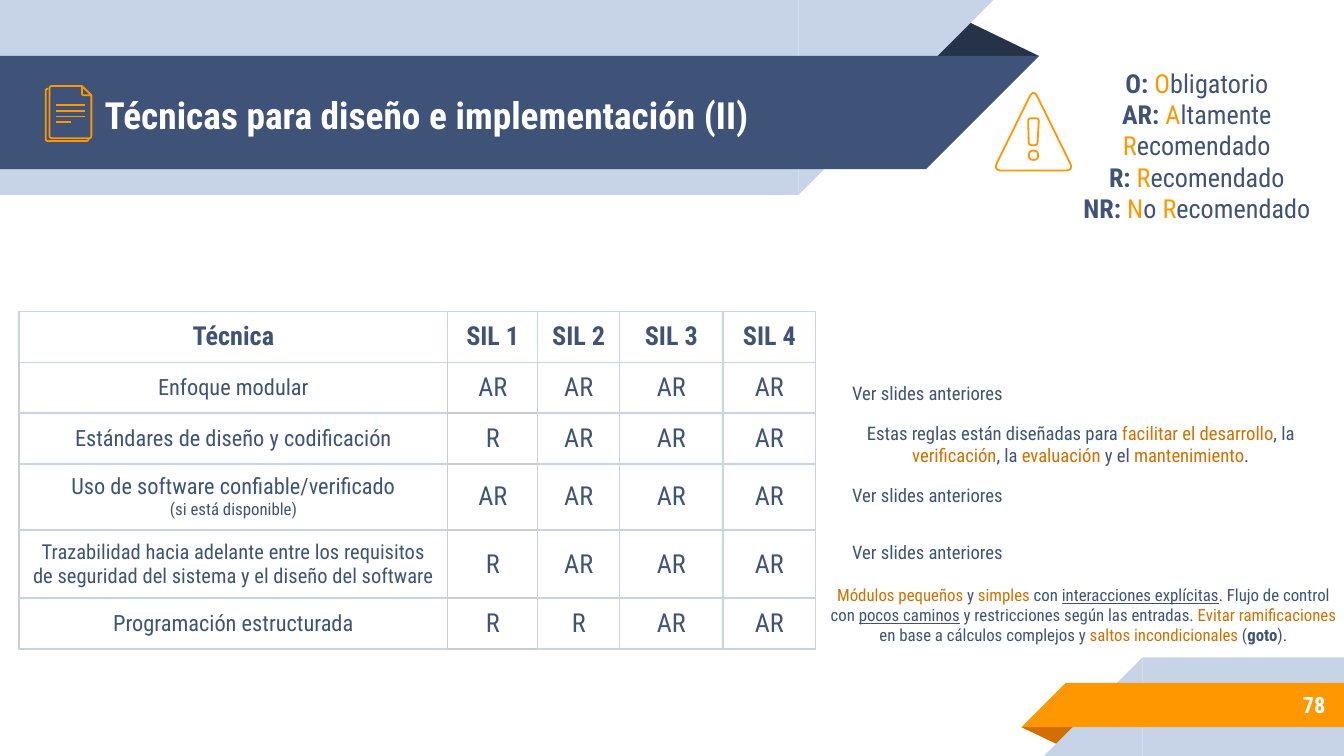
from dataclasses import dataclass

from lxml import etree
from pptx import Presentation
from pptx.dml.color import RGBColor
from pptx.enum.shapes import MSO_CONNECTOR, MSO_SHAPE
from pptx.enum.text import MSO_ANCHOR, PP_ALIGN
from pptx.oxml.ns import qn
from pptx.util import Pt

RECTANGLE = MSO_SHAPE.RECTANGLE
RIGHT_TRIANGLE = MSO_SHAPE.RIGHT_TRIANGLE
TRIANGLE = MSO_SHAPE.ISOSCELES_TRIANGLE
STRAIGHT = MSO_CONNECTOR.STRAIGHT
MIDDLE = MSO_ANCHOR.MIDDLE
LEFT, CENTER, RIGHT = PP_ALIGN.LEFT, PP_ALIGN.CENTER, PP_ALIGN.RIGHT


@dataclass(frozen=True)
class Theme:
    font: str = "Roboto Condensed"
    navy: str = "3F5378"
    dark: str = "263248"
    pale: str = "C7D3E6"
    orange: str = "FF9800"
    rust: str = "D26F00"
    grey: str = "CCCCCC"
    white: str = "FFFFFF"
    title: float = 20
    large: float = 14
    body: float = 12
    compact: float = 11
    note: float = 10
    small: float = 9
    icon_line: float = 0.96
    border: float = 0.75


THEME = Theme()
ORANGE = {"color": THEME.orange}
RUST = {"color": THEME.rust}
BOLD = {"bold": True}
UNDERLINE = {"underline": True}

SEE_PREVIOUS = [["Ver slides anteriores"]]
CODING_RULES = [["Estas reglas están diseñadas para ", ("facilitar el desarrollo", RUST), ", la ",
                 ("verificación", RUST), ", la ", ("evaluación", RUST), " y el ",
                 ("mantenimiento", RUST), "."]]
STRUCTURED = [[("Módulos pequeños", RUST), " y ", ("simples", RUST), " con ",
               ("interacciones explícitas", UNDERLINE), ". Flujo de control con ",
               ("pocos caminos", UNDERLINE), " y restricciones según las entradas. ",
               ("Evitar ramificaciones", RUST), " en base a cálculos complejos y ",
               ("saltos incondicionales", RUST), " (", ("goto", BOLD), ")."]]
LEGEND = [[("O: ", BOLD), ("O", ORANGE), "bligatorio"],
          [("AR: ", BOLD), ("A", ORANGE), "ltamente ", ("R", ORANGE), "ecomendado"],
          [("R: ", BOLD), ("R", ORANGE), "ecomendado"],
          [("NR: ", BOLD), ("N", ORANGE), "o ", ("R", ORANGE), "ecomendado"]]

HEADER = ["Técnica", "SIL 1", "SIL 2", "SIL 3", "SIL 4"]
# Technique paragraphs, type size, row height, levels for SIL 1 to 4
TECHNIQUES = [
    ([["Enfoque modular"]], THEME.body, 27.3, "AR AR AR AR"),
    ([["Estándares de diseño y codificación"]], THEME.body, 27.3, "R AR AR AR"),
    ([["Uso de software confiable/verificado"],
      [("(si está disponible)", {"size": THEME.small})]], THEME.body, 35.4, "AR AR AR AR"),
    ([["Trazabilidad hacia adelante entre los requisitos de seguridad del sistema "
       "y el diseño del software"]], THEME.compact, 36.4, "R AR AR AR"),
    ([["Programación estructurada"]], THEME.body, 27.3, "R R AR AR"),
]
HEADER_HEIGHT = 27.3
COLUMN_WIDTHS = [229.7, 48.2, 43.9, 55.4, 49.7]


def rgb(color):
    return RGBColor.from_string(color)


def write_text(frame, paragraphs, size, color=THEME.navy, bold=False, align=CENTER):
    """Each paragraph lists its runs: plain text, or text with format overrides."""
    for index, runs in enumerate(paragraphs):
        paragraph = frame.paragraphs[0] if index == 0 else frame.add_paragraph()
        paragraph.alignment = align
        for item in runs:
            words, changes = (item, {}) if isinstance(item, str) else item
            run = paragraph.add_run()
            run.text = words
            run.font.name = THEME.font
            run.font.size = Pt(changes.get("size", size))
            run.font.bold = changes.get("bold", bold)
            run.font.underline = changes.get("underline", False)
            run.font.color.rgb = rgb(changes.get("color", color))


def add_text(slide, box, paragraphs, size, **text_format):
    frame = slide.shapes.add_textbox(*map(Pt, box)).text_frame
    frame.word_wrap = True
    frame.vertical_anchor = MIDDLE
    frame.margin_left = frame.margin_right = frame.margin_top = frame.margin_bottom = Pt(7.2)
    write_text(frame, paragraphs, size, **text_format)


def add_block(slide, preset, box, color, rotation=0, flip=False):
    block = slide.shapes.add_shape(preset, *map(Pt, box))
    block.shadow.inherit = False
    block.fill.solid()
    block.fill.fore_color.rgb = rgb(color)
    block.line.fill.background()
    block.rotation = rotation
    if flip:
        block.element.spPr.find(qn("a:xfrm")).set("flipH", "1")
    return block


def add_fold(slide, box, color, rotation=0):
    add_block(slide, TRIANGLE, box, color, rotation).adjustments[0] = 0.324


def add_left_band(slide, top, width, height, color):
    """Band from the left edge whose slanted end recedes downwards."""
    add_block(slide, RECTANGLE, (0, top, width, height), color)
    add_block(slide, RIGHT_TRIANGLE, (width, top, height, height), color, 180, True)


def add_right_band(slide, left, top, height, color):
    """Band to the right edge whose slanted end starts at left."""
    add_block(slide, RECTANGLE, (left, top, 720 - left, height), color)
    add_block(slide, RIGHT_TRIANGLE, (left - height, top, height, height), color, flip=True)


def round_corners(corners, cut, sharp_ends=False):
    """Replace each corner by a quadratic curve that begins cut points before it."""
    outline = []
    for index, (x, y) in enumerate(corners):
        if sharp_ends and index in (0, len(corners) - 1):
            outline.append((x, y))
            continue
        tangents = []
        for nx, ny in (corners[index - 1], corners[(index + 1) % len(corners)]):
            share = cut / ((nx - x) ** 2 + (ny - y) ** 2) ** 0.5
            tangents.append((x + (nx - x) * share, y + (ny - y) * share))
        (ax, ay), (bx, by) = tangents
        for t in (0, 0.2, 0.4, 0.6, 0.8, 1):
            a, c, b = (1 - t) ** 2, 2 * t * (1 - t), t ** 2
            outline.append((a * ax + c * x + b * bx, a * ay + c * y + b * by))
    return outline


def add_outline(slide, contours, close=True):
    points = [[(Pt(x), Pt(y)) for x, y in contour] for contour in contours]
    builder = slide.shapes.build_freeform(*points[0][0])
    for index, contour in enumerate(points):
        if index:
            builder.move_to(*contour[0])
        builder.add_line_segments(contour[1:], close=close)
    drawing = builder.convert_to_shape()
    drawing.shadow.inherit = False
    drawing.fill.background()
    drawing.line.color.rgb = rgb(THEME.orange)
    drawing.line.width = Pt(THEME.icon_line)


def add_document_icon(slide):
    back = [(47.5, 74.1), (47.5, 75.6), (24.5, 75.6), (24.5, 47.5), (26, 47.5)]
    front = [(49, 51.1), (49, 74.1), (26.6, 74.1), (26.6, 46.1), (43.9, 46.1)]
    corner = [(49, 51.1), (43.9, 51.1), (43.9, 46.1)]
    for sheet, close in ((back, False), (front, False), (corner, True)):
        add_outline(slide, [round_corners(sheet, 1.4, sharp_ends=True)], close)
    for index, right in enumerate((45.4, 45.4, 45.4, 38.2)):
        y = 56.2 + 3.1 * index
        rule = slide.shapes.add_connector(STRAIGHT, Pt(30.2), Pt(y), Pt(right), Pt(y))
        rule.line.color.rgb = rgb(THEME.orange)
        rule.line.width = Pt(THEME.icon_line)
        etree.SubElement(rule.element.spPr, qn("a:effectLst"))


def add_warning_icon(slide):
    sign = [(553.7, 47.6), (575.3, 91.4), (532.1, 91.4)]
    stroke = [(550.8, 63.4), (556.6, 63.4), (555.8, 77.8), (551.2, 77.8)]
    dot = [(551.2, 80.7), (556.2, 80.7), (556.2, 85.7), (551.2, 85.7)]
    add_outline(slide, [round_corners(sign, 4.7), round_corners(stroke, 1.6),
                        round_corners(dot, 2.5)])


def grey_sides(row, column):
    if row == 0:
        return ""
    return ("LR", "LRB" if row == 1 else "LRTB", "L", "", "")[column]


def set_borders(cell, grey):
    properties = cell._tc.get_or_add_tcPr()
    for index, side in enumerate("LRTB"):
        line = etree.Element(qn(f"a:ln{side}"), w=str(Pt(THEME.border)))
        fill = etree.SubElement(line, qn("a:solidFill"))
        etree.SubElement(fill, qn("a:srgbClr"), val=THEME.grey if side in grey else THEME.pale)
        properties.insert(index, line)


def add_techniques_table(slide):
    heights = [HEADER_HEIGHT] + [height for _, _, height, _ in TECHNIQUES]
    table = slide.shapes.add_table(len(heights), len(HEADER), Pt(10.2), Pt(166.7),
                                   Pt(sum(COLUMN_WIDTHS)), Pt(sum(heights))).table
    table.first_row = table.horz_banding = False
    for column, width in zip(table.columns, COLUMN_WIDTHS):
        column.width = Pt(width)
    rows = [[([[label]], THEME.large) for label in HEADER]]
    for technique, size, _, levels in TECHNIQUES:
        rows.append([(technique, size)] + [([[level]], THEME.large) for level in levels.split()])
    for r, row in enumerate(rows):
        table.rows[r].height = Pt(heights[r])
        for c, (paragraphs, size) in enumerate(row):
            cell = table.cell(r, c)
            cell.vertical_anchor = MIDDLE
            cell.margin_left = cell.margin_right = Pt(7.2)
            cell.margin_top = cell.margin_bottom = Pt(5)
            if r and c:
                cell.fill.solid()
                cell.fill.fore_color.rgb = rgb(THEME.white)
            else:
                cell.fill.background()
            set_borders(cell, grey_sides(r, c))
            write_text(cell.text_frame, paragraphs, size, bold=r == 0)


def main():
    deck = Presentation()
    deck.slide_width, deck.slide_height = Pt(720), Pt(405)
    slide = deck.slides.add_slide(deck.slide_layouts[6])

    add_fold(slide, (495.4, 10, 61.2, 20), THEME.dark)
    add_left_band(slide, 0, 427.7, 104.4, THEME.pale)
    add_left_band(slide, 30, 496.1, 60.6, THEME.navy)
    add_fold(slide, (547.2, 389.6, 31, 10), THEME.rust, 180)
    add_right_band(slide, 612, 352.2, 52.8, THEME.pale)
    add_right_band(slide, 571, 365.8, 23.8, THEME.orange)

    add_text(slide, (49, 31, 463, 60.5), [["Técnicas para diseño e implementación (II)"]],
             THEME.title, color=THEME.white, bold=True, align=LEFT)
    add_text(slide, (599.8, 365, 117.4, 25.2), [["78"]], THEME.body,
             color=THEME.white, bold=True, align=RIGHT)
    add_document_icon(slide)
    add_warning_icon(slide)
    add_techniques_table(slide)

    add_text(slide, (434.2, 303.1, 292.3, 52.6), STRUCTURED, THEME.small)
    add_text(slide, (562.3, 32.2, 157.7, 91.4), LEGEND, THEME.large)
    add_text(slide, (437.8, 221.8, 282.2, 32.4), CODING_RULES, THEME.note)
    for top in (249.1, 279.4, 194.4):
        add_text(slide, (442.1, top, 109.4, 32.4), SEE_PREVIOUS, THEME.note)
    deck.save("out.pptx")


if __name__ == "__main__":
    main()
